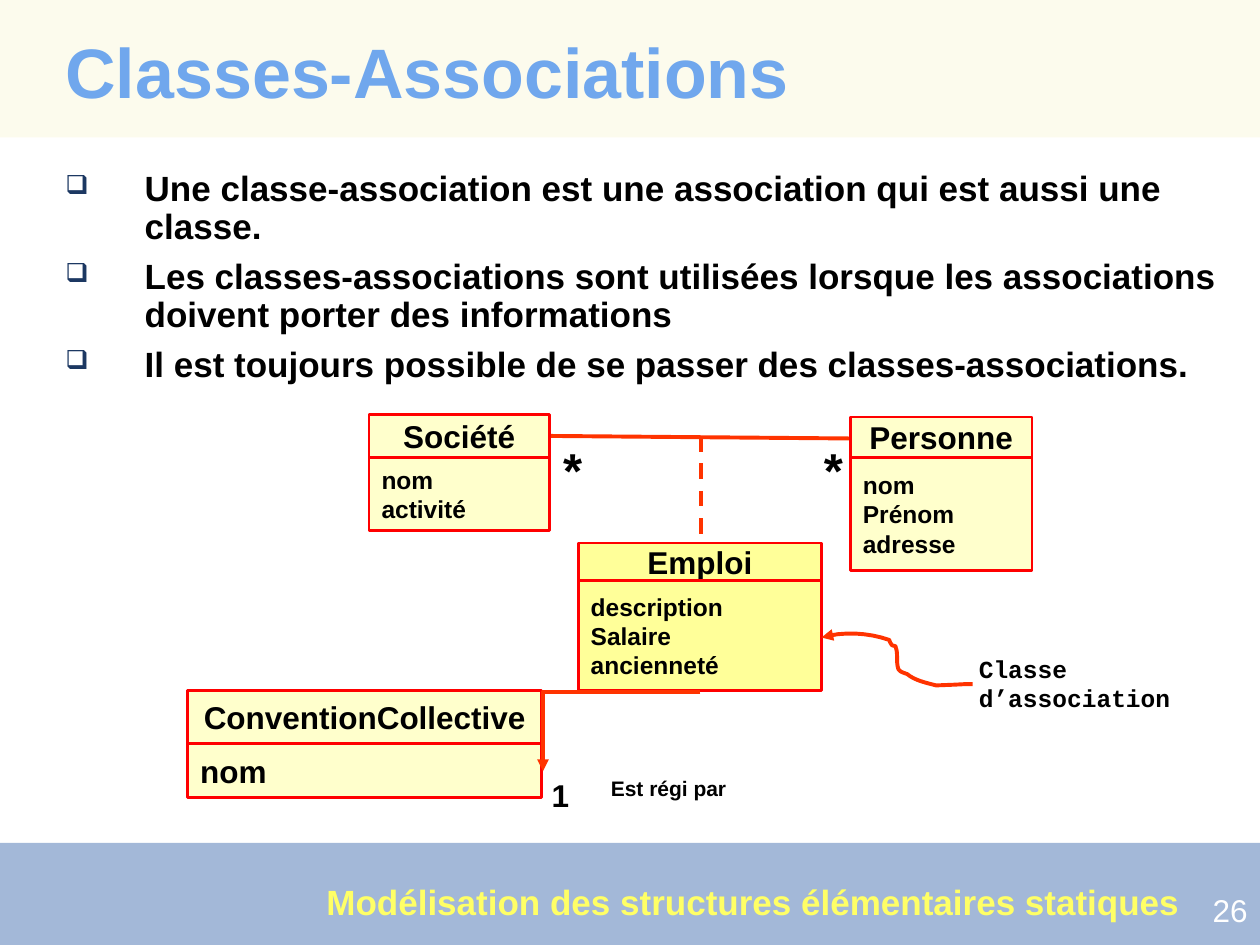
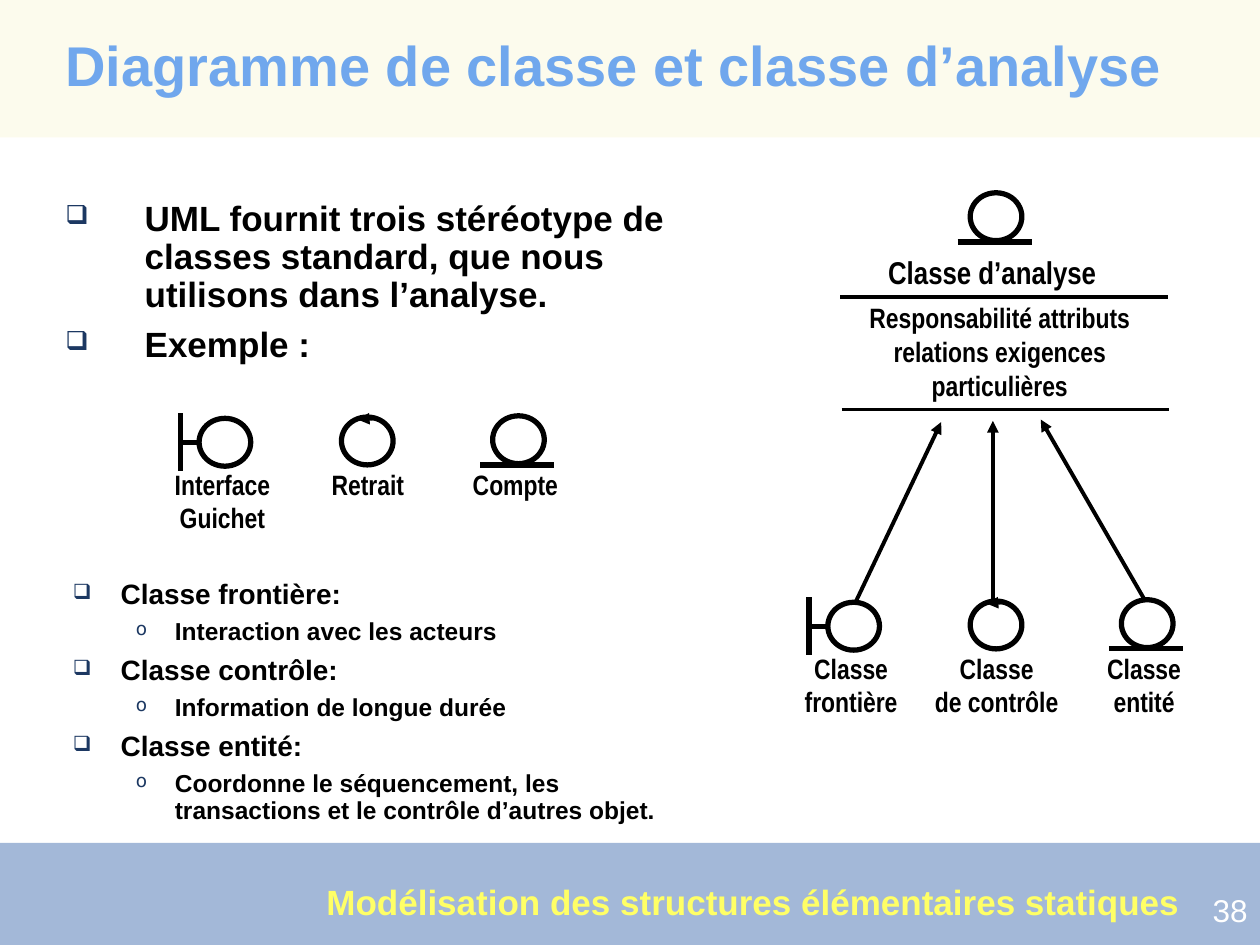
from lxml import etree
from pptx import Presentation
from pptx import util as u
from pptx.dml.color import RGBColor
from pptx.enum import dml, shapes, text
from pptx.oxml import ns

HEADER_CREAM = RGBColor(0xFA, 0xF8, 0xD8)
FOOTER_BLUE = RGBColor(0x33, 0x63, 0xA9)
TITLE_BLUE = RGBColor(0x00, 0x66, 0xFF)
FOOTER_YELLOW = RGBColor(0xFF, 0xFF, 0x66)
CLASS_CREAM = RGBColor(0xFF, 0xFF, 0xCC)
ASSOCIATION_YELLOW = RGBColor(0xFF, 0xFF, 0x99)
BORDER_RED = RGBColor(0xFF, 0x00, 0x00)
LINK_RED = RGBColor(0xFF, 0x33, 0x00)
BULLET_NAVY = RGBColor(0x1C, 0x38, 0x62)
BLACK = RGBColor(0, 0, 0)
WHITE = RGBColor(0xFF, 0xFF, 0xFF)

SANS = "Arial"
NARROW = "Arial Narrow"
MONO = "Courier New"
FOOTER = "Modélisation des structures élémentaires statiques"
LEFT, CENTER, RIGHT = text.PP_ALIGN.LEFT, text.PP_ALIGN.CENTER, text.PP_ALIGN.RIGHT

CIRCLE_W, CIRCLE_H = 0.41, 0.38


def inches(*lengths):
    return [u.Inches(length) for length in lengths]


def add_xml(parent, tag, **attributes):
    return etree.SubElement(parent, ns.qn(tag), attributes)


def format_paragraph(paragraph, size, color=BLACK, font=SANS, bold=True, align=LEFT):
    paragraph.alignment = align
    for run in paragraph.runs:
        run.font.name = font
        run.font.size = u.Pt(size)
        run.font.bold = bold
        run.font.color.rgb = color


def write(frame, words, size, **style):
    frame.text = words
    for paragraph in frame.paragraphs:
        format_paragraph(paragraph, size, **style)


def add_label(slide, box, words, size, wrap=True, margin=True, **style):
    frame = slide.shapes.add_textbox(*inches(*box)).text_frame
    frame.word_wrap = wrap
    if not margin:
        frame.margin_left = frame.margin_right = 0
        frame.margin_top = frame.margin_bottom = 0
    write(frame, words, size, **style)


def add_block(slide, box, fill, border=None, width=1.5, kind=shapes.MSO_SHAPE.RECTANGLE):
    block = slide.shapes.add_shape(kind, *inches(*box))
    block.shadow.inherit = False
    block.fill.solid()
    block.fill.fore_color.rgb = fill
    if border is None:
        block.line.fill.background()
    else:
        block.line.color.rgb = border
        block.line.width = u.Pt(width)
    return block


def add_band(slide, top, height, color):
    band = add_block(slide, (0, top, 10, height), color)
    tint = band.fill._xPr.find(".//" + ns.qn("a:srgbClr"))
    add_xml(tint, "a:alpha", val="45000")


def add_arrowhead(line, end):
    add_xml(line._get_or_add_ln(), end, type="triangle")


def add_link(slide, start, end, color=BLACK, width=2.25, arrow=False, dashed=False, bent=False):
    kind = shapes.MSO_CONNECTOR.ELBOW if bent else shapes.MSO_CONNECTOR.STRAIGHT
    link = slide.shapes.add_connector(kind, *inches(*start, *end))
    properties = link._element.spPr
    if bent:
        properties.find(ns.qn("a:prstGeom")).set("prst", "bentConnector2")
    link.line.color.rgb = color
    link.line.width = u.Pt(width)
    if dashed:
        link.line.dash_style = dml.MSO_LINE.DASH
    if arrow:
        add_arrowhead(link.line, "a:tailEnd")
    add_xml(properties, "a:effectLst")


def bezier_points(start, curves, steps=8):
    points = [start]
    for control1, control2, end in curves:
        origin = points[-1]
        for step in range(1, steps + 1):
            t = step / steps
            s = 1 - t
            points.append(tuple(
                s**3 * a + 3 * s * s * t * b + 3 * s * t * t * c + t**3 * d
                for a, b, c, d in zip(origin, control1, control2, end)))
    return points


def add_curved_arrow(slide, start, curves):
    first, *others = [inches(*point) for point in bezier_points(start, curves)]
    builder = slide.shapes.build_freeform(*first)
    builder.add_line_segments(others, close=False)
    curve = builder.convert_to_shape()
    curve.shadow.inherit = False
    curve.fill.background()
    curve.line.color.rgb = LINK_RED
    curve.line.width = u.Pt(2.25)
    add_arrowhead(curve.line, "a:headEnd")


def add_uml_class(slide, box, name, attributes, fill=CLASS_CREAM, attribute_size=14):
    left, top, width, name_height, body_height = box
    sections = [
        (top, name_height, name, 18, CENTER),
        (top + name_height, body_height, attributes, attribute_size, LEFT),
    ]
    for section_top, height, words, size, align in sections:
        section = add_block(slide, (left, section_top, width, height), fill, BORDER_RED)
        frame = section.text_frame
        frame.word_wrap = False
        frame.vertical_anchor = text.MSO_ANCHOR.MIDDLE
        write(frame, words, size, align=align)


def add_circle(slide, left, top):
    add_block(slide, (left, top, CIRCLE_W, CIRCLE_H), WHITE, BLACK, 3, shapes.MSO_SHAPE.OVAL)


def add_boundary(slide, left, top):
    bar, middle = left - 0.15, top + CIRCLE_H / 2
    add_circle(slide, left, top)
    add_link(slide, (bar, top - 0.04), (bar, top + 0.42), width=3)
    add_link(slide, (bar, middle), (left, middle), width=3)


def add_control(slide, left, top):
    add_circle(slide, left, top)
    add_link(slide, (left + 0.27, top + 0.01), (left + 0.13, top + 0.02), arrow=True)


def add_entity(slide, left, top):
    base = top + 0.39
    add_circle(slide, left, top)
    add_link(slide, (left - 0.1, base), (left + 0.49, base), width=3)


def add_stereotypes(slide, left, top, captions):
    add_boundary(slide, left, top + 0.02)
    add_control(slide, left + 1.13, top + 0.01)
    add_entity(slide, left + 2.33, top)
    places = [(-0.32, 1.01), (0.75, 1.18), (1.92, 1.18)]
    for (offset, width), caption in zip(places, captions):
        add_label(slide, (left + offset, top + 0.36, width, 0.64), caption, 16,
                  font=NARROW, align=CENTER)


def add_bullets(slide, box, items):
    frame = slide.shapes.add_textbox(*inches(*box)).text_frame
    frame.word_wrap = True
    frame.text = "\n".join(words for words, _ in items)
    for paragraph, (_, style) in zip(frame.paragraphs, items):
        size, mark, margin, hanging, before = style
        format_paragraph(paragraph, size)
        paragraph.line_spacing = 0.9
        paragraph.space_before = u.Pt(before)
        properties = paragraph._p.get_or_add_pPr()
        properties.set("marL", str(u.Inches(margin)))
        properties.set("indent", str(-u.Inches(hanging)))
        add_xml(add_xml(properties, "a:buClr"), "a:srgbClr", val=str(BULLET_NAVY))
        add_xml(properties, "a:buSzPct", val="75000")
        add_xml(properties, "a:buChar", char=mark)


MAIN_POINT = (20, "❑", 0.63, 0.63, 7)
KIND_POINT = (16, "❑", 0.38, 0.38, 6)
ROLE_POINT = (14, "o", 0.81, 0.31, 5)


def add_page(deck, heading, heading_size, heading_height, number):
    slide = deck.slides.add_slide(deck.slide_layouts[5])
    add_band(slide, 0, 1.09, HEADER_CREAM)
    add_band(slide, 6.69, 0.81, FOOTER_BLUE)
    title = slide.shapes.title
    title.left, title.top, title.width, title.height = inches(0.42, 0.25, 9.37, heading_height)
    frame = title.text_frame
    frame.auto_size = text.MSO_AUTO_SIZE.NONE
    frame.vertical_anchor = text.MSO_ANCHOR.TOP
    write(frame, heading, heading_size, color=TITLE_BLUE)
    frame.paragraphs[0].line_spacing = 0.9
    add_label(slide, (9.02, 7.02, 0.98, 0.4), number, 18, color=WHITE, bold=False, align=RIGHT)
    add_label(slide, (2.59, 6.99, 6.78, 0.33), FOOTER, 20, wrap=False, margin=False,
              color=FOOTER_YELLOW)
    return slide


def build_association_classes(deck):
    slide = add_page(deck, "Classes-Associations", 40, 0.7, "26")
    points = [
        "Une classe-association est une association qui est aussi une classe.",
        "Les classes-associations sont utilisées lorsque les associations "
        "doivent porter des informations",
        "Il est toujours possible de se passer des classes-associations.",
    ]
    add_bullets(slide, (0.42, 1.31, 9.38, 1.8), [(point, MAIN_POINT) for point in points])

    add_link(slide, (4.37, 3.46), (6.74, 3.48), LINK_RED)
    add_link(slide, (5.56, 3.46), (5.56, 4.29), LINK_RED, dashed=True)
    add_uml_class(slide, (2.93, 3.29, 1.43, 0.34, 0.58), "Société", "nom\nactivité")
    add_uml_class(slide, (6.75, 3.31, 1.44, 0.32, 0.9), "Personne", "nom\nPrénom\nadresse")
    add_uml_class(slide, (4.59, 4.31, 1.93, 0.3, 0.87), "Emploi",
                  "description\nSalaire\nancienneté", fill=ASSOCIATION_YELLOW)
    add_uml_class(slide, (1.49, 5.48, 2.81, 0.42, 0.43), "ConventionCollective", "nom",
                  attribute_size=18)
    add_link(slide, (5.56, 5.49), (4.31, 6.12), LINK_RED, arrow=True, bent=True)

    for left in (4.37, 6.44):
        add_label(slide, (left, 3.44, 0.28, 0.57), "*", 28)
    add_label(slide, (4.28, 6.11, 0.28, 0.4), "1", 18)
    add_label(slide, (4.75, 6.11, 1.47, 0.3), "Est régi par", 12)
    add_label(slide, (7.67, 5.14, 2.08, 0.54), "Classe\nd’association", 14, font=MONO)
    add_curved_arrow(slide, (6.52, 5.06), [
        ((6.69, 5.01), (6.89, 5.02), (7.06, 5.08)),
        ((7.06, 5.09), (7.07, 5.11), (7.08, 5.12)),
        ((7.09, 5.13), (7.11, 5.12), (7.11, 5.14)),
        ((7.13, 5.19), (7.11, 5.25), (7.13, 5.31)),
        ((7.14, 5.33), (7.17, 5.34), (7.2, 5.35)),
        ((7.26, 5.4), (7.35, 5.42), (7.43, 5.44)),
        ((7.71, 5.43), (7.61, 5.43), (7.72, 5.43)),
    ])


def build_analysis_classes(deck):
    slide = add_page(deck, "Diagramme de classe et classe d’analyse", 32, 0.58, "38")
    add_bullets(slide, (0.42, 1.55, 5.27, 1.4), [
        ("UML fournit trois stéréotype de classes standard, que nous "
         "utilisons dans l’analyse.", MAIN_POINT),
        ("Exemple :", MAIN_POINT),
    ])
    add_stereotypes(slide, 1.58, 3.3, ["Interface\nGuichet", "Retrait", "Compte"])
    add_bullets(slide, (0.48, 4.56, 5.27, 2.25), [
        ("Classe frontière:", KIND_POINT),
        ("Interaction avec les acteurs", ROLE_POINT),
        ("Classe contrôle:", KIND_POINT),
        ("Information de longue durée", ROLE_POINT),
        ("Classe entité:", KIND_POINT),
        ("Coordonne le séquencement, les transactions et le contrôle d’autres objet.",
         ROLE_POINT),
    ])

    add_entity(slide, 7.7, 1.53)
    add_label(slide, (6.95, 1.96, 2.11, 0.4), "Classe d’analyse", 18, font=NARROW)
    add_label(slide, (6.75, 2.34, 2.37, 0.9),
              "Responsabilité attributs relations exigences particulières", 16,
              font=NARROW, align=CENTER)
    for left, top in ((6.67, 2.36), (6.68, 3.25)):
        add_link(slide, (left, top), (left + 2.6, top))
    add_stereotypes(slide, 6.57, 4.76,
                    ["Classe\nfrontière", "Classe\nde contrôle", "Classe\nentité"])
    for start, end in (((6.79, 4.78), (7.47, 3.35)),
                       ((7.88, 4.79), (7.88, 3.34)),
                       ((9.09, 4.77), (8.26, 3.33))):
        add_link(slide, start, end, arrow=True)


def main():
    deck = Presentation()
    deck.slide_width, deck.slide_height = inches(10, 7.5)
    build_association_classes(deck)
    build_analysis_classes(deck)
    deck.save("out.pptx")


if __name__ == "__main__":
    main()
